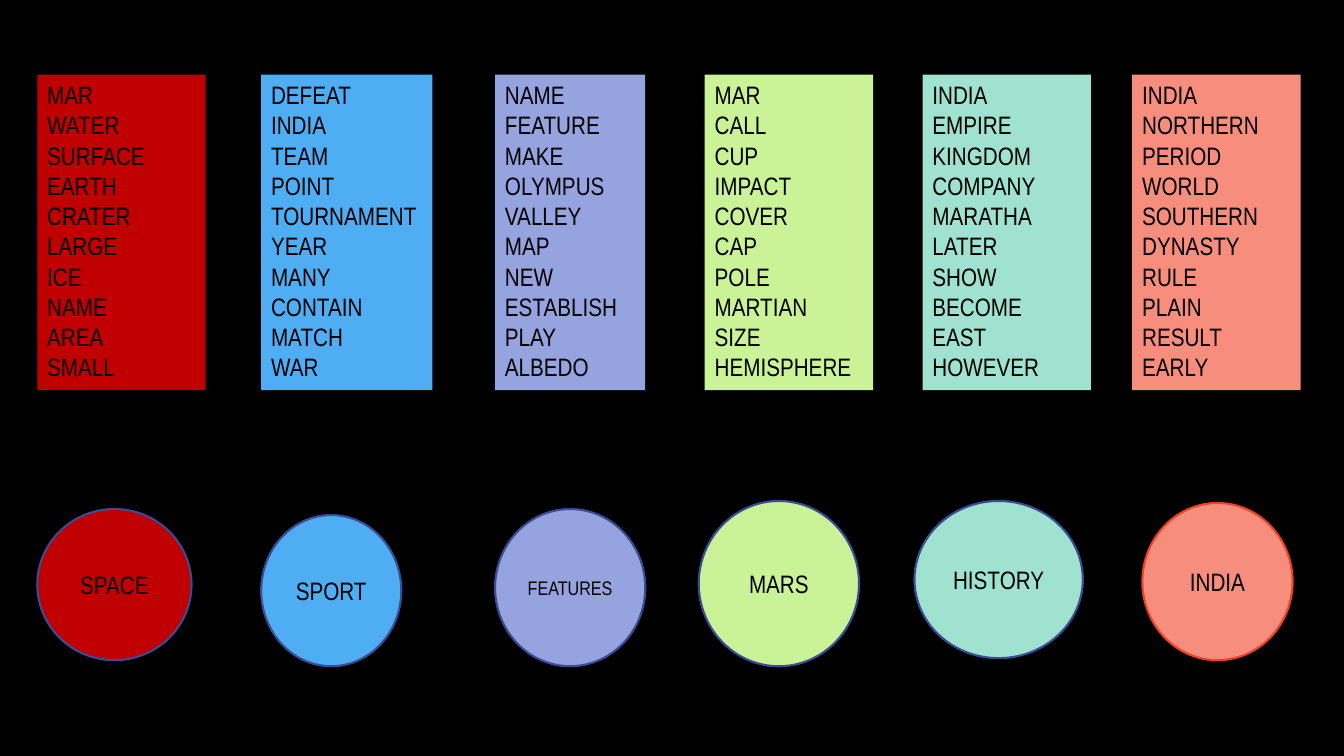
from pptx import Presentation
from pptx.dml.color import RGBColor
from pptx.enum.shapes import MSO_SHAPE as SHAPE
from pptx.enum.text import MSO_ANCHOR as ANCHOR, MSO_AUTO_SIZE as AUTO, PP_ALIGN as ALIGN
from pptx.util import Inches, Pt

FONT = "Arial Narrow"
BLACK = RGBColor(0x00, 0x00, 0x00)
NAVY = RGBColor(0x3A, 0x4C, 0x94)
ORANGE = RGBColor(0xF1, 0x41, 0x24)
RED = RGBColor(0xC0, 0x00, 0x00)
BLUE = RGBColor(0x4F, 0xAD, 0xF3)
LAVENDER = RGBColor(0x95, 0xA4, 0xDE)
LIME = RGBColor(0xCA, 0xF2, 0x97)
MINT = RGBColor(0x9E, 0xE2, 0xCF)
SALMON = RGBColor(0xF7, 0x8D, 0x7C)

LIST_TOP, LIST_HEIGHT = 0.74, 3.13

TOPICS = [
    {"name": "SPACE", "size": 18, "fill": RED, "line": NAVY,
     "list": (0.37, 1.67), "circle": (0.37, 5.05, 1.53, 1.5),
     "words": "MAR WATER SURFACE EARTH CRATER LARGE ICE NAME AREA SMALL"},
    {"name": "SPORT", "size": 18, "fill": BLUE, "line": NAVY,
     "list": (2.59, 1.7), "circle": (2.59, 5.11, 1.39, 1.5),
     "words": "DEFEAT INDIA TEAM POINT TOURNAMENT YEAR MANY CONTAIN MATCH WAR"},
    {"name": "FEATURES", "size": 14, "fill": LAVENDER, "line": NAVY,
     "list": (4.91, 1.49), "circle": (4.91, 5.05, 1.49, 1.56),
     "words": "NAME FEATURE MAKE OLYMPUS VALLEY MAP NEW ESTABLISH PLAY ALBEDO"},
    {"name": "MARS", "size": 18, "fill": LIME, "line": NAVY,
     "list": (6.99, 1.67), "circle": (6.93, 4.97, 1.59, 1.64),
     "words": "MAR CALL CUP IMPACT COVER CAP POLE MARTIAN SIZE HEMISPHERE"},
    {"name": "HISTORY", "size": 18, "fill": MINT, "line": NAVY,
     "list": (9.15, 1.67), "circle": (9.07, 4.97, 1.67, 1.56),
     "words": "INDIA EMPIRE KINGDOM COMPANY MARATHA LATER SHOW BECOME EAST HOWEVER"},
    {"name": "INDIA", "size": 18, "fill": SALMON, "line": ORANGE,
     "list": (11.23, 1.67), "circle": (11.33, 4.99, 1.49, 1.56),
     "words": "INDIA NORTHERN PERIOD WORLD SOUTHERN DYNASTY RULE PLAIN RESULT EARLY"},
]


def add_block(kind, box, fill, text, size, align, anchor):
    sp = s.shapes.add_shape(kind, *map(Inches, box))
    sp.shadow.inherit = False
    sp.fill.solid()
    sp.fill.fore_color.rgb = fill
    sp.line.fill.background()
    tf = sp.text_frame
    tf.text = text
    tf.vertical_anchor = anchor
    for p in tf.paragraphs:
        p.alignment = align
        for r in p.runs:
            r.font.name = FONT
            r.font.size = Pt(size)
            r.font.color.rgb = BLACK
    return sp


prs = Presentation()
prs.slide_width, prs.slide_height = Inches(13.33), Inches(7.5)
s = prs.slides.add_slide(prs.slide_layouts[6])
s.background.fill.solid()
s.background.fill.fore_color.rgb = BLACK

for topic in TOPICS:
    left, width = topic["list"]
    word_list = add_block(SHAPE.RECTANGLE, (left, LIST_TOP, width, LIST_HEIGHT), topic["fill"],
                          "\n".join(topic["words"].split()), 18, ALIGN.LEFT, ANCHOR.TOP)
    word_list.text_frame.word_wrap = True
    word_list.text_frame.auto_size = AUTO.SHAPE_TO_FIT_TEXT

for topic in TOPICS:
    circle = add_block(SHAPE.OVAL, topic["circle"], topic["fill"],
                       topic["name"], topic["size"], ALIGN.CENTER, ANCHOR.MIDDLE)
    circle.text_frame.word_wrap = False
    circle.line.color.rgb = topic["line"]
    circle.line.width = Pt(1.5)

prs.save("out.pptx")
